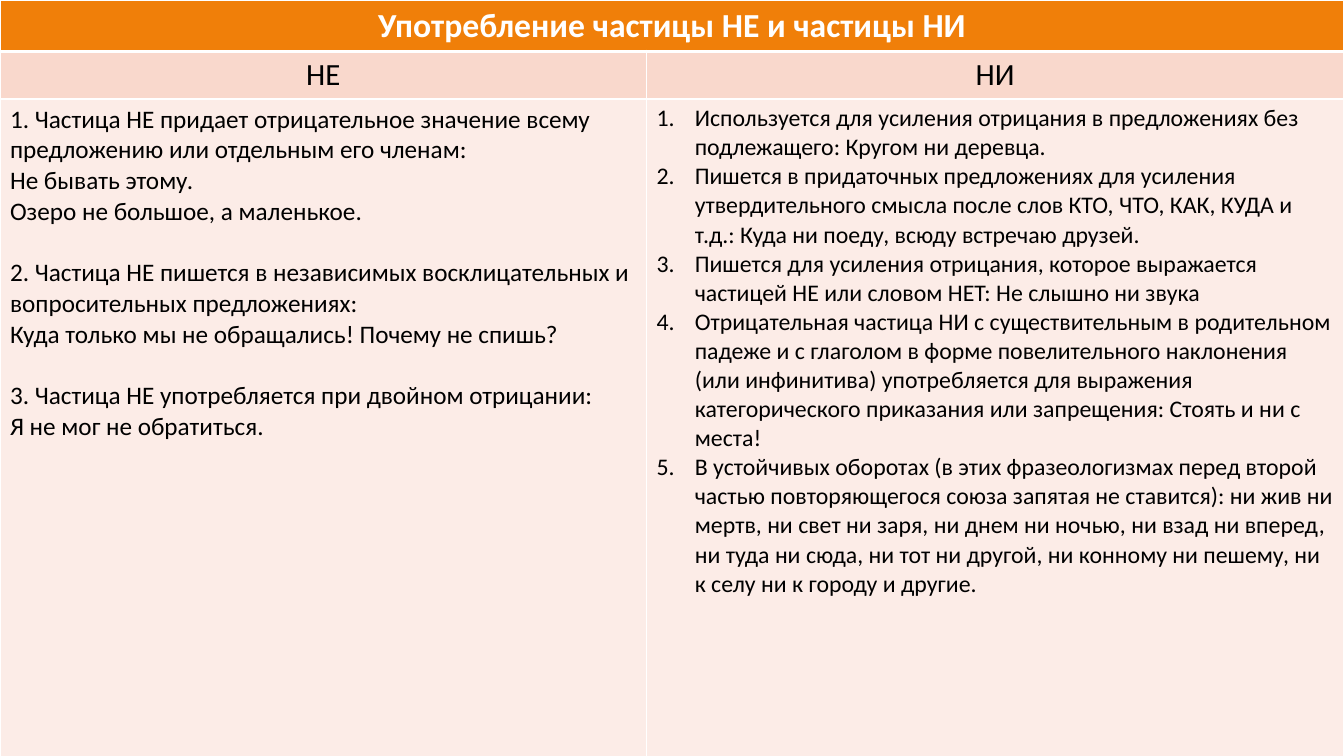
from dataclasses import dataclass

from lxml import etree
from pptx import Presentation
from pptx.dml.color import RGBColor
from pptx.enum.text import MSO_ANCHOR, PP_ALIGN
from pptx.oxml.ns import qn
from pptx.util import Inches, Pt

CENTER, LEFT = PP_ALIGN.CENTER, PP_ALIGN.LEFT
MIDDLE, TOP = MSO_ANCHOR.MIDDLE, MSO_ANCHOR.TOP

WIDTH, HEIGHT = 13.33, 7.5
COLUMN_SHARES = (0.481, 0.519)
ROW_SHARES = (0.068, 0.056, 0.876)
FONT = "Calibri"
WHITE, BLACK = "FFFFFF", "000000"
ORANGE, PEACH, PALE = "F07F09", "F9D8CC", "FCECE7"
LIST_INDENT = 0.38
GROUP_GAP = 22


@dataclass(frozen=True)
class CellStyle:
    fill: str
    size: int
    color: str = BLACK
    bold: bool = False
    align: PP_ALIGN = LEFT
    anchor: MSO_ANCHOR = TOP
    numbered: bool = False
    bottom_line: int = 1


@dataclass(frozen=True)
class CellContent:
    row: int
    column: int
    style: CellStyle
    groups: tuple[tuple[str, ...], ...]


TITLE = CellStyle(ORANGE, 24, WHITE, True, CENTER, MIDDLE, bottom_line=3)
HEADING = CellStyle(PEACH, 22, align=CENTER, anchor=MIDDLE)
RULES = CellStyle(PALE, 18)
NUMBERED_RULES = CellStyle(PALE, 17, numbered=True)

# Paragraphs of one group stand together; a gap separates groups
NE_RULES = (
    (
        "1. Частица НЕ придает отрицательное значение всему предложению или отдельным его членам:",
        "Не бывать этому.",
        "Озеро не большое, а маленькое.",
    ),
    (
        "2. Частица НЕ пишется в независимых восклицательных и вопросительных предложениях:",
        "Куда только мы не обращались! Почему не спишь?",
    ),
    (
        "3. Частица НЕ употребляется при двойном отрицании:",
        "Я не мог не обратиться.",
    ),
)
NI_RULES = ((
    "Используется для усиления отрицания в предложениях без подлежащего: Кругом ни деревца.",
    "Пишется в придаточных предложениях для усиления утвердительного смысла после слов "
    "КТО, ЧТО, КАК, КУДА и т.д.: Куда ни поеду, всюду встречаю друзей.",
    "Пишется для усиления отрицания, которое выражается частицей НЕ или словом HET: "
    "Не слышно ни звука",
    "Отрицательная частица НИ с существительным в родительном падеже и с глаголом в форме "
    "повелительного наклонения (или инфинитива) употребляется для выражения "
    "категорического приказания или запрещения: Стоять и ни с места!",
    "В устойчивых оборотах (в этих фразеологизмах перед второй частью повторяющегося союза "
    "запятая не ставится): ни жив ни мертв, ни свет ни заря, ни днем ни ночью, "
    "ни взад ни вперед, ни туда ни сюда, ни тот ни другой, ни конному ни пешему, "
    "ни к селу ни к городу и другие.",
),)

CELLS = (
    CellContent(0, 0, TITLE, (("Употребление частицы НЕ и частицы НИ",),)),
    CellContent(1, 0, HEADING, (("НЕ",),)),
    CellContent(1, 1, HEADING, (("НИ",),)),
    CellContent(2, 0, RULES, NE_RULES),
    CellContent(2, 1, NUMBERED_RULES, NI_RULES),
)


def paint(fill, color: str) -> None:
    fill.solid()
    fill.fore_color.rgb = RGBColor.from_string(color)


def add_borders(cell, bottom_line: int) -> None:
    properties = cell._tc.get_or_add_tcPr()
    for index, side in enumerate(("lnL", "lnR", "lnT", "lnB")):
        width = bottom_line if side == "lnB" else 1
        line = etree.Element(qn(f"a:{side}"), w=str(Pt(width)))
        solid = etree.SubElement(line, qn("a:solidFill"))
        etree.SubElement(solid, qn("a:srgbClr"), val=WHITE)
        properties.insert(index, line)


def number_paragraph(para) -> None:
    properties = para._p.get_or_add_pPr()
    indent = Inches(LIST_INDENT)
    properties.set("marL", str(indent))
    properties.set("indent", str(-indent))
    etree.SubElement(properties, qn("a:buFont"), typeface="+mj-lt")
    etree.SubElement(properties, qn("a:buAutoNum"), type="arabicPeriod")


def write_text(frame, content: CellContent) -> None:
    style = content.style
    para = None
    for group in content.groups:
        for position, text in enumerate(group):
            starts_group = para is not None and position == 0
            para = frame.paragraphs[0] if para is None else frame.add_paragraph()
            para.alignment = style.align
            if starts_group:
                para.space_before = Pt(GROUP_GAP)
            if style.numbered:
                number_paragraph(para)
            span = para.add_run()
            span.text = text
            span.font.name = FONT
            span.font.size = Pt(style.size)
            span.font.bold = style.bold
            span.font.color.rgb = RGBColor.from_string(style.color)


def fill_cell(table, content: CellContent) -> None:
    cell = table.cell(content.row, content.column)
    cell.vertical_anchor = content.style.anchor
    paint(cell.fill, content.style.fill)
    add_borders(cell, content.style.bottom_line)
    write_text(cell.text_frame, content)


def main() -> None:
    deck = Presentation()
    deck.slide_width, deck.slide_height = Inches(WIDTH), Inches(HEIGHT)
    page = deck.slides.add_slide(deck.slide_layouts[6])
    paint(page.background.fill, BLACK)

    # Table grid over the whole slide
    table = page.shapes.add_table(
        len(ROW_SHARES), len(COLUMN_SHARES), 0, 0, deck.slide_width, deck.slide_height
    ).table
    table.first_row = table.horz_banding = False
    for column, share in zip(table.columns, COLUMN_SHARES):
        column.width = Inches(WIDTH * share)
    for row, share in zip(table.rows, ROW_SHARES):
        row.height = Inches(HEIGHT * share)
    table.cell(0, 0).merge(table.cell(0, 1))

    # Title, headings and rules
    for content in CELLS:
        fill_cell(table, content)
    deck.save("out.pptx")


if __name__ == "__main__":
    main()
